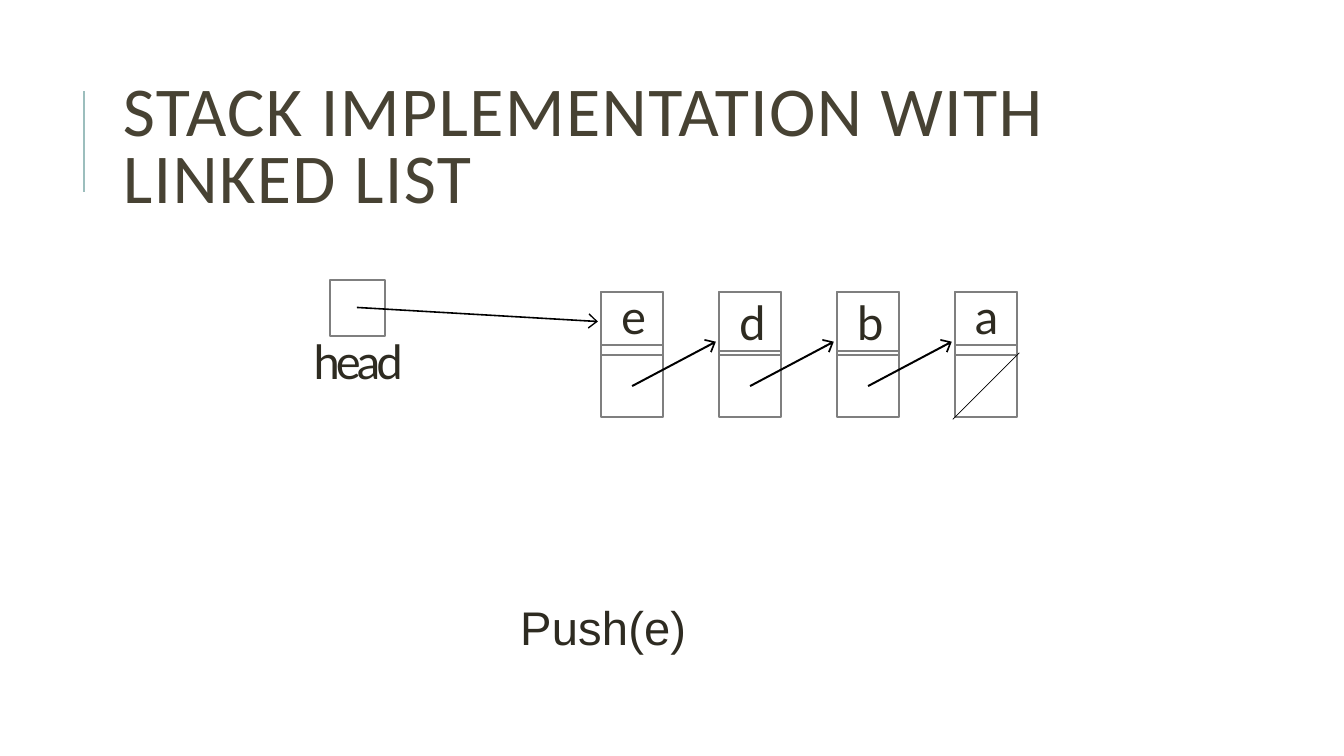
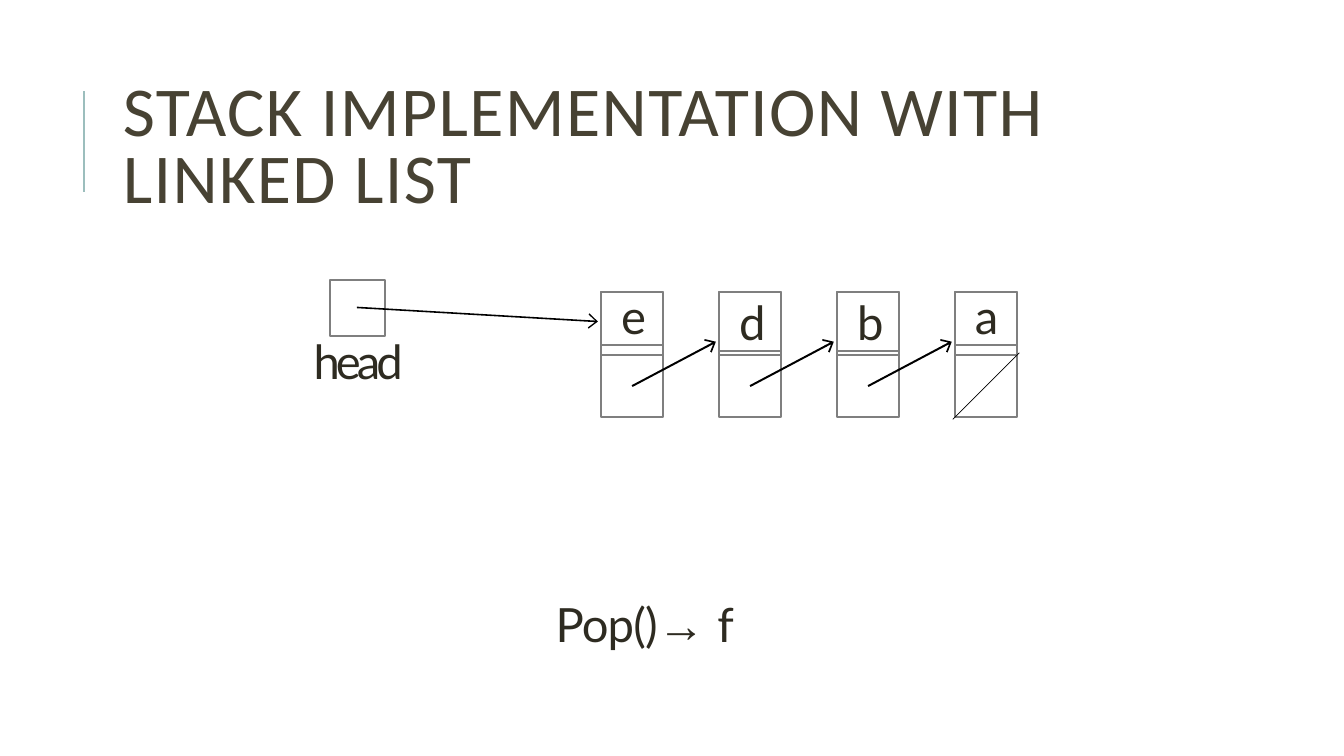
from pptx import Presentation
from pptx.dml.color import RGBColor
from pptx.enum.shapes import MSO_CONNECTOR, MSO_SHAPE
from pptx.enum.text import MSO_ANCHOR
from pptx.oxml.ns import qn
from pptx.util import Inches, Pt
from lxml import etree

RECTANGLE = MSO_SHAPE.RECTANGLE
STRAIGHT = MSO_CONNECTOR.STRAIGHT
TOP, MIDDLE = MSO_ANCHOR.TOP, MSO_ANCHOR.MIDDLE

COLORS = {"title": "474233", "text": "2E2B21", "accent": "9CBEBD",
          "box": "7F7F7F", "arrow": "000000"}
TITLE = "STACK IMPLEMENTATION WITH LINKED LIST"
CELL = 0.62
LIST_LEFT, LIST_TOP, NODE_PITCH = 5.96, 2.9, 1.17
POINTER_TOP = LIST_TOP + CELL
SHORT_LABEL = {"height": 0.52, "inset_top": 0, "line_spacing": Pt(36.6)}
TALL_LABEL = {"height": 0.58, "inset_top": 0.01, "space_before": 1}
NODES = [("e", SHORT_LABEL), ("d", TALL_LABEL),
         ("b", TALL_LABEL), ("a", SHORT_LABEL)]


class StackDeck:
    """Holds the deck style and the slide being drawn."""

    def __init__(self):
        self.presentation = Presentation()
        self.presentation.slide_width = Inches(13.33)
        self.presentation.slide_height = Inches(7.5)
        self.slide = None

    def color(self, name):
        return RGBColor.from_string(COLORS[name])

    def new_slide(self):
        layout = self.presentation.slide_layouts[6]
        self.slide = self.presentation.slides.add_slide(layout)
        self.line((0.83, 1.9), (0.83, 0.9), "accent", 1.5)
        title = self.text_box(1.12, 0.64, 10.63, 1.64)
        self.add_text(title, [(TITLE, "Calibri", 1, False)], size=50, color="title",
                      inset_left=0.1, inset_top=0.05, line_spacing=0.8, anchor=MIDDLE)

    def box(self, left, top, width, height):
        box = self.slide.shapes.add_shape(
            RECTANGLE, Inches(left), Inches(top), Inches(width), Inches(height))
        box.shadow.inherit = False
        box.fill.background()
        box.line.color.rgb = self.color("box")
        box.line.width = Pt(1.42)
        return box

    def text_box(self, left, top, width, height):
        return self.slide.shapes.add_textbox(
            Inches(left), Inches(top), Inches(width), Inches(height))

    def line(self, start, end, color, width, arrow=False):
        line = self.slide.shapes.add_connector(
            STRAIGHT, *[Inches(value) for value in (*start, *end)])
        line.line.color.rgb = self.color(color)
        line.line.width = Pt(width)
        properties = line._element.spPr
        if arrow:
            etree.SubElement(properties.find(qn("a:ln")), qn("a:tailEnd"),
                             type="arrow", w="lg", len="med")
        etree.SubElement(properties, qn("a:effectLst"))

    def add_text(self, shape, runs, size=33.7, color="text", indent=0, inset_left=0,
                 inset_top=0, space_before=0, line_spacing=None, anchor=TOP):
        frame = shape.text_frame
        frame.word_wrap = True
        frame.vertical_anchor = anchor
        frame.margin_left = frame.margin_right = Inches(inset_left)
        frame.margin_top, frame.margin_bottom = Inches(inset_top), 0
        paragraph = frame.paragraphs[0]
        paragraph.space_before = Pt(space_before)
        paragraph.line_spacing = line_spacing
        properties = paragraph._p.get_or_add_pPr()
        properties.set("marL", str(Inches(indent)))
        properties.set("algn", "l")
        for text, font, tracking, italic in runs:
            run = paragraph.add_run()
            run.text = text
            run.font.name = font
            run.font.size = Pt(size)
            run.font.italic = italic
            run.font.color.rgb = self.color(color)
            run._r.get_or_add_rPr().set("spc", str(round(tracking * 100)))

    def node(self, left, letter, height, **label_style):
        self.box(left, LIST_TOP, CELL, CELL)
        label = self.box(left, LIST_TOP, CELL, height)
        self.add_text(label, [(letter, "Lato", -2.3, False)], indent=0.2, **label_style)
        self.box(left, POINTER_TOP, CELL, CELL)

    def linked_list(self):
        self.box(3.27, 2.78, 0.55, 0.55)
        head = self.text_box(3.08, 3.27, 0.93, 0.6)
        self.add_text(head, [("head", "Lato", -2.8, False)], indent=0.03,
                      inset_top=0.03, space_before=2.4)
        lefts = [LIST_LEFT + index * NODE_PITCH for index in range(len(NODES))]
        for left, (letter, label_style) in zip(lefts, NODES):
            self.node(left, letter, **label_style)
        for left, following in zip(lefts, lefts[1:]):
            self.line((left + CELL / 2, POINTER_TOP + CELL / 2),
                      (following - 0.03, 3.39), "arrow", 1.42, arrow=True)
        last = lefts[-1]
        self.line((last - 0.02, POINTER_TOP + CELL + 0.02),
                  (last + CELL + 0.02, POINTER_TOP - 0.02), "arrow", 0.4)
        self.line((3.54, 3.05), (5.93, 3.19), "arrow", 1.13, arrow=True)

    def operation(self, place, runs, leading):
        self.add_text(self.text_box(*place), runs, indent=0.03, line_spacing=Pt(leading))


def main():
    deck = StackDeck()
    push = [("Push(e)", "Arial", 0.1, False)]
    pop = [("Pop()", "Lato", -0.6, False), ("→ ", "Arial", -0.6, True),
           ("f", "Lato", -2.7, False)]
    for place, runs, leading in [((5.13, 5.98, 1.72, 0.52), push, 37.1),
                                 ((5.48, 5.93, 1.88, 0.55), pop, 38.7)]:
        deck.new_slide()
        deck.linked_list()
        deck.operation(place, runs, leading)
    deck.presentation.save("out.pptx")


if __name__ == "__main__":
    main()
